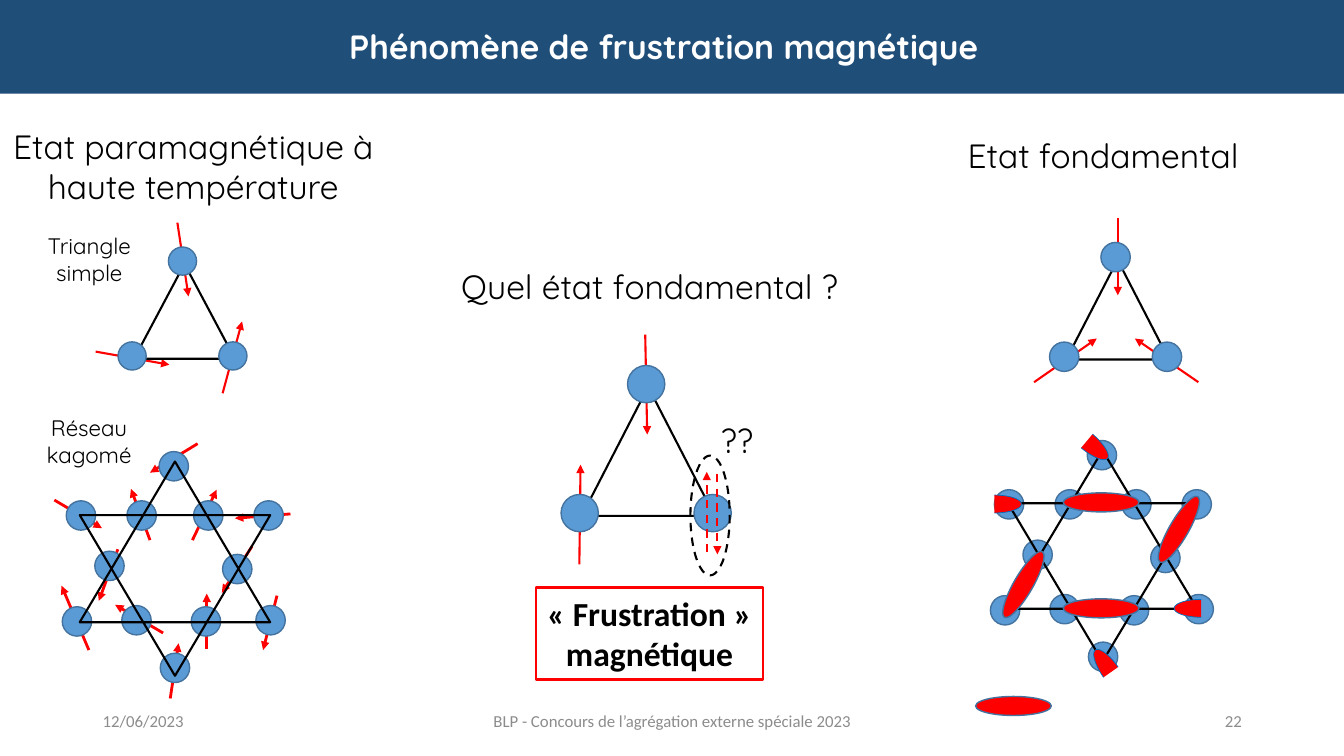
"""Build the slide on magnetic frustration in triangles and the kagome lattice."""
from dataclasses import dataclass
from math import cos, pi, sin

from lxml import etree
from pptx import Presentation
from pptx.dml.color import RGBColor
from pptx.enum.dml import MSO_LINE
from pptx.enum.shapes import MSO_CONNECTOR, MSO_SHAPE
from pptx.enum.text import MSO_ANCHOR, PP_ALIGN
from pptx.oxml.ns import qn
from pptx.util import Cm, Pt

OVAL, TRIANGLE, RECTANGLE = MSO_SHAPE.OVAL, MSO_SHAPE.ISOSCELES_TRIANGLE, MSO_SHAPE.RECTANGLE
STRAIGHT, DASH = MSO_CONNECTOR.STRAIGHT, MSO_LINE.DASH
LEFT, CENTER, RIGHT = PP_ALIGN.LEFT, PP_ALIGN.CENTER, PP_ALIGN.RIGHT
TOP, MIDDLE = MSO_ANCHOR.TOP, MSO_ANCHOR.MIDDLE

NAVY, RED, BLACK, WHITE, GREY = "1F4E79", "FF0000", "000000", "FFFFFF", "8C8C8C"
ATOM_BLUE, ATOM_EDGE, HALF_EDGE = "5B9BD5", "43739E", "0070C0"
STAR_ATOM = 0.74
DIMER_WIDTH, DIMER_LENGTH = 0.48, 1.91
HALF_LENGTH, HALF_WIDTH = 0.68, 0.45


@dataclass(frozen=True)
class Spin:
    x1: float
    y1: float
    x2: float
    y2: float
    dash: bool = False


@dataclass(frozen=True)
class Trio:
    left: float
    top: float
    width: float
    height: float
    atom: float
    spins: tuple[Spin, ...]


@dataclass(frozen=True)
class Dimer:
    x: float
    y: float
    angle: float


@dataclass(frozen=True)
class Label:
    text: str
    left: float
    top: float
    width: float
    height: float
    size: int = 24
    font: str = "Quicksand"
    color: str = BLACK
    align: PP_ALIGN = CENTER
    anchor: MSO_ANCHOR = TOP


TRIOS = (
    Trio(3.38, 6.65, 2.54, 2.39, 0.71, (
        Spin(2.41, 8.86, 4.27, 9.19), Spin(5.61, 9.91, 6.1, 8.1), Spin(4.47, 5.61, 4.75, 7.47))),
    Trio(14.66, 9.75, 3.35, 3.25, 0.94, (
        Spin(14.6, 14.22, 14.63, 11.71), Spin(16.26, 8.43, 16.31, 10.95))),
    Trio(26.87, 6.55, 2.59, 2.51, 0.74, (
        Spin(30.2, 9.63, 28.6, 8.53), Spin(26.06, 9.63, 27.64, 8.53),
        Spin(28.17, 5.49, 28.17, 7.44))),
)
UNDECIDED_SPINS = (Spin(17.81, 13.92, 17.81, 11.89, True), Spin(18.08, 11.94, 18.08, 13.97, True))
KAGOME_SPINS = (
    Spin(2.24, 16.38, 1.55, 14.76), Spin(4.11, 15.95, 2.9, 15.24),
    Spin(2.97, 13.84, 2.49, 15.14), Spin(4.29, 17.6, 4.5, 16.21),
    Spin(5.21, 16.36, 5.21, 14.96), Spin(6.98, 15.01, 6.63, 16.38),
    Spin(6.35, 13.77, 5.59, 14.94), Spin(7.32, 12.95, 5.92, 13.06),
    Spin(4.85, 13.61, 5.46, 12.34), Spin(3.78, 13.61, 3.3, 12.32),
    Spin(1.37, 12.6, 2.57, 13.31), Spin(4.98, 11.18, 3.78, 11.91),
)
STAR_ATOMS = (
    (3.24, 1.36), (4.76, 1.36), (3.97, 2.71), (4.81, 4), (3.18, 4.03), (2.4, 5.2),
    (1.43, 4), (-0.07, 4.03), (0.75, 2.63), (0.03, 1.36), (2.37, 0.12), (1.56, 1.36),
)
STAR_CELLS = ((1, 0, 0), (2, 1, 180), (0, 1, 180), (0, 2, 0), (2, 2, 0), (1, 3, 180))
DIMERS = (
    Dimer(25.79, 14.73, 30), Dimer(27.75, 15.33, 90), Dimer(27.75, 12.66, 90),
    Dimer(29.71, 13.34, 210), Dimer(25.54, 17.79, 90),
)
HALF_DIMERS = (
    Dimer(29.93, 15.33, 0), Dimer(25.4, 12.7, 180),
    Dimer(27.65, 11.33, 220), Dimer(27.8, 16.66, 55),
)
FOOTER = {"size": 12, "font": "Calibri", "color": GREY, "anchor": MIDDLE}
LABELS = (
    Label("12/06/2023", 2.34, 17.65, 7.62, 1.02, align=LEFT, **FOOTER),
    Label("BLP - Concours de l’agrégation externe spéciale 2023", 11.23, 17.65, 11.43, 1.02, **FOOTER),
    Label("22", 23.93, 17.65, 7.62, 1.02, align=RIGHT, **FOOTER),
    Label("Quel état fondamental ?", 10.72, 6.58, 11.3, 1.27),
    Label("Etat paramagnétique à haute température", -0.03, 3.05, 9.8, 2.31),
    Label("??", 17.91, 10.46, 2.26, 1.27, align=LEFT),
    Label("Etat fondamental", 22.15, 3.28, 11.3, 1.27),
    Label("Réseau kagomé", 0.05, 10.31, 4.39, 1.6, size=16),
    Label("Triangle simple", 0.18, 5.72, 4.14, 1.63, size=16),
)


def rgb(color: str) -> RGBColor:
    return RGBColor.from_string(color)


def write(shape, text: str, *, size: int, font: str, color: str, align=CENTER,
          anchor=TOP, bold: bool = False, spacing: float = 1.0) -> None:
    frame = shape.text_frame
    frame.word_wrap = True
    frame.vertical_anchor = anchor
    paragraph = frame.paragraphs[0]
    paragraph.alignment = align
    paragraph.line_spacing = spacing
    for index, line in enumerate(text.splitlines()):
        if index:
            paragraph.add_line_break()
        run = paragraph.add_run()
        run.text = line
        run.font.size, run.font.name, run.font.bold = Pt(size), font, bold
        run.font.color.rgb = rgb(color)


def paint(shape, fill: str | None, line: str | None, weight: float = 1) -> None:
    shape.shadow.inherit = False
    if fill:
        shape.fill.solid()
        shape.fill.fore_color.rgb = rgb(fill)
    else:
        shape.fill.background()
    if line:
        shape.line.color.rgb = rgb(line)
        shape.line.width = Pt(weight)
    else:
        shape.line.fill.background()


def draw(slide, kind, left: float, top: float, width: float, height: float, *,
         fill: str | None = None, line: str | None = None, weight: float = 1, angle: float = 0):
    shape = slide.shapes.add_shape(kind, Cm(left), Cm(top), Cm(width), Cm(height))
    paint(shape, fill, line, weight)
    shape.rotation = angle
    return shape


def draw_spin(slide, spin: Spin, weight: float = 1.5) -> None:
    arrow = slide.shapes.add_connector(STRAIGHT, Cm(spin.x1), Cm(spin.y1), Cm(spin.x2), Cm(spin.y2))
    arrow.line.color.rgb = rgb(RED)
    arrow.line.width = Pt(weight)
    if spin.dash:
        arrow.line.dash_style = DASH
    etree.SubElement(arrow.line._get_or_add_ln(), qn("a:tailEnd"), type="triangle")
    etree.SubElement(arrow._element.spPr, qn("a:effectLst"))


def draw_atom(slide, x: float, y: float, size: float) -> None:
    draw(slide, OVAL, x - size / 2, y - size / 2, size, size, fill=ATOM_BLUE, line=ATOM_EDGE)


def draw_trio(slide, trio: Trio) -> None:
    for spin in trio.spins:
        draw_spin(slide, spin)
    draw(slide, TRIANGLE, trio.left, trio.top, trio.width, trio.height, line=BLACK, weight=1.5)
    for across, down in ((0.5, 0), (0, 1), (1, 1)):
        draw_atom(slide, trio.left - 0.05 + across * trio.width,
                  trio.top - 0.07 + down * trio.height, trio.atom)


def draw_star(slide, left: float, top: float, width: float, height: float) -> None:
    for x, y in STAR_ATOMS:
        draw_atom(slide, left + x, top + y, STAR_ATOM)
    for column, row, angle in STAR_CELLS:
        draw(slide, TRIANGLE, left + column * width, top + row * height, width, height,
             line=BLACK, weight=1.5, angle=angle)


def draw_dimer(slide, dimer: Dimer) -> None:
    draw(slide, OVAL, dimer.x - DIMER_WIDTH / 2, dimer.y - DIMER_LENGTH / 2,
         DIMER_WIDTH, DIMER_LENGTH, fill=RED, line=ATOM_EDGE, angle=dimer.angle)


def draw_half_dimer(slide, half: Dimer, steps: int = 24) -> None:
    arc = [(Cm(half.x + HALF_LENGTH * (0.5 - sin(pi * step / steps))),
            Cm(half.y - HALF_WIDTH / 2 * cos(pi * step / steps))) for step in range(steps + 1)]
    builder = slide.shapes.build_freeform(*arc[0])
    builder.add_line_segments(arc[1:], close=False)
    shape = builder.convert_to_shape()
    paint(shape, RED, HALF_EDGE, 0.5)
    shape.rotation = half.angle


def main() -> None:
    deck = Presentation()
    deck.slide_width, deck.slide_height = Cm(33.87), Cm(19.05)
    slide = deck.slides.add_slide(deck.slide_layouts[5])

    title = slide.shapes.title
    title.left, title.top, title.width, title.height = Cm(0), Cm(0.2), Cm(33.45), Cm(2.06)
    write(title, "Phénomène de frustration magnétique", size=24, font="Quicksand",
          color=WHITE, anchor=MIDDLE, bold=True, spacing=0.9)
    band = draw(slide, RECTANGLE, 0, 0, 33.87, 2.36, fill=NAVY)
    title._element.addprevious(band._element)

    for spin in KAGOME_SPINS:
        draw_spin(slide, spin, 2)
    draw_star(slide, 2.01, 11.63, 1.6, 1.35)
    draw_star(slide, 25.4, 11.35, 1.59, 1.33)
    for dimer in DIMERS:
        draw_dimer(slide, dimer)
    for half in HALF_DIMERS:
        draw_half_dimer(slide, half)
    for trio in TRIOS:
        draw_trio(slide, trio)
    for spin in UNDECIDED_SPINS:
        draw_spin(slide, spin)
    doubt = draw(slide, OVAL, 17.4, 11.48, 0.99, 3.02, line=BLACK, weight=1.5)
    doubt.line.dash_style = DASH

    for label in LABELS:
        box = slide.shapes.add_textbox(Cm(label.left), Cm(label.top), Cm(label.width), Cm(label.height))
        write(box, label.text, size=label.size, font=label.font, color=label.color,
              align=label.align, anchor=label.anchor)
    conclusion = draw(slide, RECTANGLE, 13.51, 14.81, 5.72, 2.31, line=RED, weight=2)
    write(conclusion, "« Frustration »\nmagnétique", size=24, font="Calibri", color=BLACK, bold=True)
    deck.save("out.pptx")


if __name__ == "__main__":
    main()
